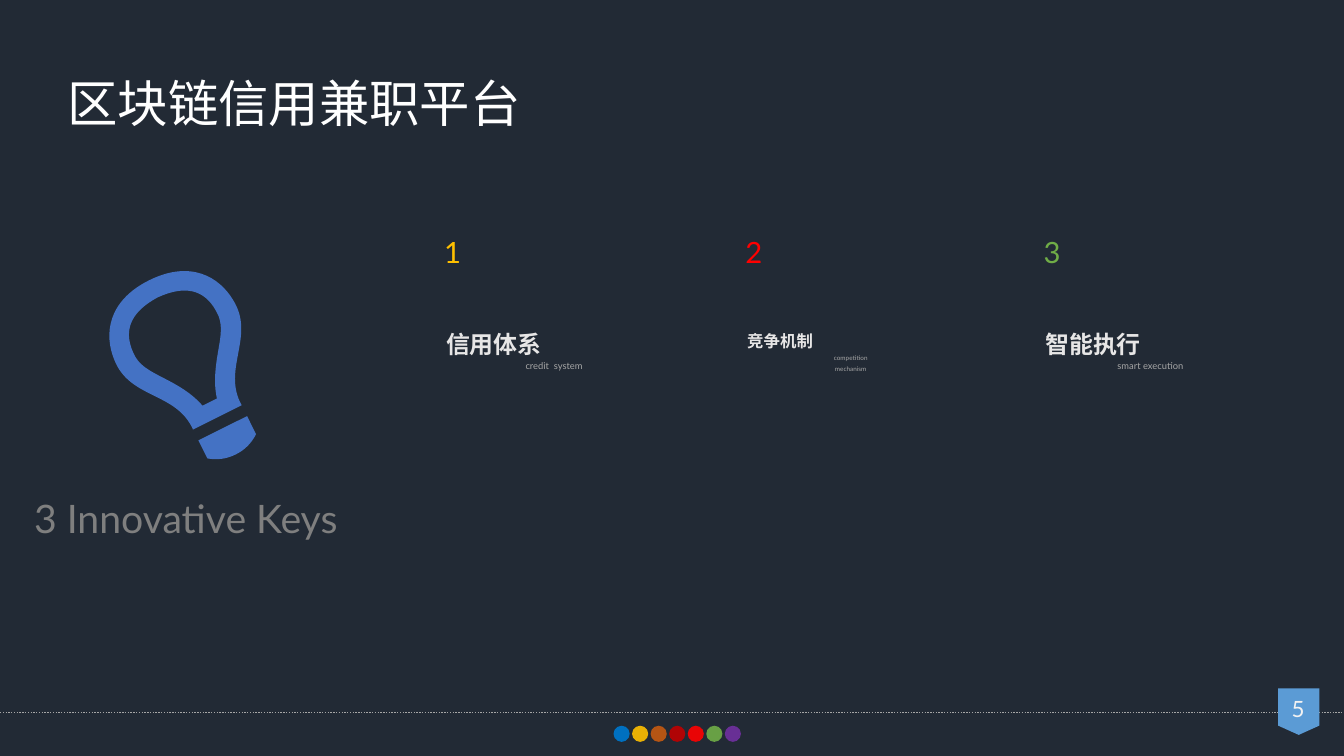
from pptx import Presentation
from pptx.dml.color import RGBColor
from pptx.enum.dml import MSO_LINE
from pptx.enum.shapes import MSO_CONNECTOR, MSO_SHAPE
from pptx.enum.text import MSO_ANCHOR, PP_ALIGN
from pptx.oxml.ns import qn
from pptx.util import Inches, Pt
from lxml.etree import SubElement

WIDE, HIGH = Inches(13.34), Inches(7.5)
FONT = "Lato"

# Boxes are percent of the slide: left, top, width, height
TITLE = (4.27, 4.85, 49.48, 13.33)
PANEL = (1.8, 35.73, 33.73, 37.07)
FOOT = (0, 91.07, 100, 8.93)
KEY_TOP, KEY_WIDE, KEY_HIGH = 31.2, 18, 20.4

DOTS = [("0070C0", 100), ("FFC000", 90), ("C55A11", 90), ("C00000", 90),
        ("FF0000", 90), ("70AD47", 90), ("7030A0", 90)]

# Left edge, number colour, heading, its size, captions, their size, width share
ITEMS = [(32.31, "FFC000", "信用体系", 17.1, ["credit  system"], 6.7, 97.5),
         (54.72, "FF0000", "竞争机制", 11.7, ["competition", "mechanism"], 4.5, 93.75),
         (76.91, "70AD47", "智能执行", 17.1, ["smart execution"], 6.7, 95)]

# Upright bulb on a 140 by 193 grid: corner points or cubic curves
GRID = (140, 193)
TILT = 333.5
BASE = [(43, 184), (51, 190, 60, 193, 70, 193), (80, 193, 89, 190, 97, 184),
        (97, 164), (43, 164)]
GLASS = [(97, 152), (95, 111, 140, 97, 136, 55), (134, 28, 116, 0, 70, 0),
         (24, 0, 6, 28, 4, 55), (0, 97, 45, 111, 43, 152)]
INSIDE = [(24, 57), (25, 31, 42, 20, 70, 19), (98, 20, 115, 31, 116, 57),
          (117, 71, 110, 80, 99, 95), (91, 106, 82, 119, 78, 135),
          (62, 135), (58, 119, 49, 106, 41, 95), (30, 80, 23, 71, 24, 57)]


def color(code):
    return RGBColor.from_string(code)


def part(box, x, y, w, h):
    """Box at percent shares of another box."""
    left, top, wide, high = box
    return (left + wide * x / 100, top + high * y / 100,
            wide * w / 100, high * h / 100)


def place(box):
    """Percent of the slide to slide lengths."""
    return [round(side * share / 100)
            for side, share in zip((WIDE, HIGH, WIDE, HIGH), box)]


def paint(shape, code, alpha=100):
    shape.shadow.inherit = False
    shape.fill.solid()
    shape.fill.fore_color.rgb = color(code)
    shape.line.fill.background()
    if alpha < 100:
        tint = shape.fill._xPr.find(qn("a:solidFill"))[0]
        SubElement(tint, qn("a:alpha")).set("val", str(alpha * 1000))


def mark(slide, kind, box, code, alpha=100):
    paint(slide.shapes.add_shape(kind, *place(box)), code, alpha)


def write(frame, text, size=18, code="FFFFFF", bold=False, gap=0,
          lead=1.0, align=PP_ALIGN.LEFT, more=False):
    para = frame.add_paragraph() if more else frame.paragraphs[0]
    para.alignment, para.line_spacing = align, lead
    para.space_before = Pt(gap)
    run = para.add_run()
    run.text = text
    font = run.font
    font.name, font.size, font.bold = FONT, Pt(size), bold
    font.color.rgb = color(code)


def label(slide, box, text, anchor=MSO_ANCHOR.TOP, **style):
    frame = slide.shapes.add_textbox(*place(box)).text_frame
    frame.word_wrap = True
    frame.vertical_anchor = anchor
    write(frame, text, **style)
    return frame


def draw(track, tag, item):
    """Add one outline step with its points."""
    step = SubElement(track, qn(tag))
    for x, y in zip(item[::2], item[1::2]):
        point = SubElement(step, qn("a:pt"))
        point.set("x", str(x))
        point.set("y", str(y))


def bulb(slide, box):
    pen = slide.shapes.build_freeform(0, 0)
    pen.add_line_segments([(GRID[0], 0), GRID], close=True)
    shape = pen.convert_to_shape()
    shape.left, shape.top, shape.width, shape.height = place(box)
    shape.rotation = TILT
    paint(shape, "4472C4")
    # True curves in place of the straight outline
    track = shape._element.find(".//" + qn("a:path"))
    for step in list(track):
        track.remove(step)
    track.set("w", str(GRID[0]))
    track.set("h", str(GRID[1]))
    for start, *rest in (BASE, GLASS, INSIDE):
        draw(track, "a:moveTo", start)
        for item in rest:
            draw(track, "a:lnTo" if len(item) == 2 else "a:cubicBezTo", item)
        draw(track, "a:close", ())


def panel(slide, box):
    bulb(slide, part(box, 21.56, 0, 31.11, 69.42))
    label(slide, part(box, 0, 77, 100, 23), "3 Innovative Keys",
          anchor=MSO_ANCHOR.MIDDLE, size=28, code="7F7F7F")


def key(slide, box, number, code, head, size, notes, small, wide):
    label(slide, part(box, 0, 0, 44.6, 32.7), str(number),
          size=20.9, code=code, gap=11, lead=0.8)
    frame = label(slide, part(box, 0.8, 61, wide, 39), head,
                  size=size, code="E7E6E6", bold=True, gap=9, lead=0.8)
    for note in notes:
        write(frame, note, size=small, code="A6A6A6", gap=3.5, lead=0.8,
              align=PP_ALIGN.CENTER, more=True)


def footer(slide, box):
    # Dotted rule
    x, y, w, _ = place(part(box, 0, 36, 100, 0))
    rule = slide.shapes.add_connector(MSO_CONNECTOR.STRAIGHT, x, y, x + w, y)
    rule.line.color.rgb = color("A6A6A6")
    rule.line.width = Pt(1)
    rule.line.dash_style = MSO_LINE.ROUND_DOT
    SubElement(rule._element.spPr, qn("a:effectLst"))
    # Page tag
    mark(slide, MSO_SHAPE.FLOWCHART_OFFPAGE_CONNECTOR,
         part(box, 95.1, 0, 3.07, 68.7), "5B9BD5")
    label(slide, part(box, 94.38, 7.5, 4.42, 55.2), "5", size=16,
          code="F2F2F2", gap=10, lead=0.9, align=PP_ALIGN.CENTER)
    # Row of dots
    for i, (code, alpha) in enumerate(DOTS):
        mark(slide, MSO_SHAPE.OVAL,
             part(box, 45.65 + 1.38 * i, 55.2, 1.2, 23.9), code, alpha)


def main():
    deck = Presentation()
    deck.slide_width, deck.slide_height = WIDE, HIGH
    slide = deck.slides.add_slide(deck.slide_layouts[6])
    slide.background.fill.solid()
    slide.background.fill.fore_color.rgb = color("222A35")

    footer(slide, FOOT)
    label(slide, TITLE, "区块链信用兼职平台", size=36, gap=9, lead=1.5)
    panel(slide, PANEL)
    for number, (left, *item) in enumerate(ITEMS, 1):
        key(slide, (left, KEY_TOP, KEY_WIDE, KEY_HIGH), number, *item)
    deck.save("out.pptx")


if __name__ == "__main__":
    main()
